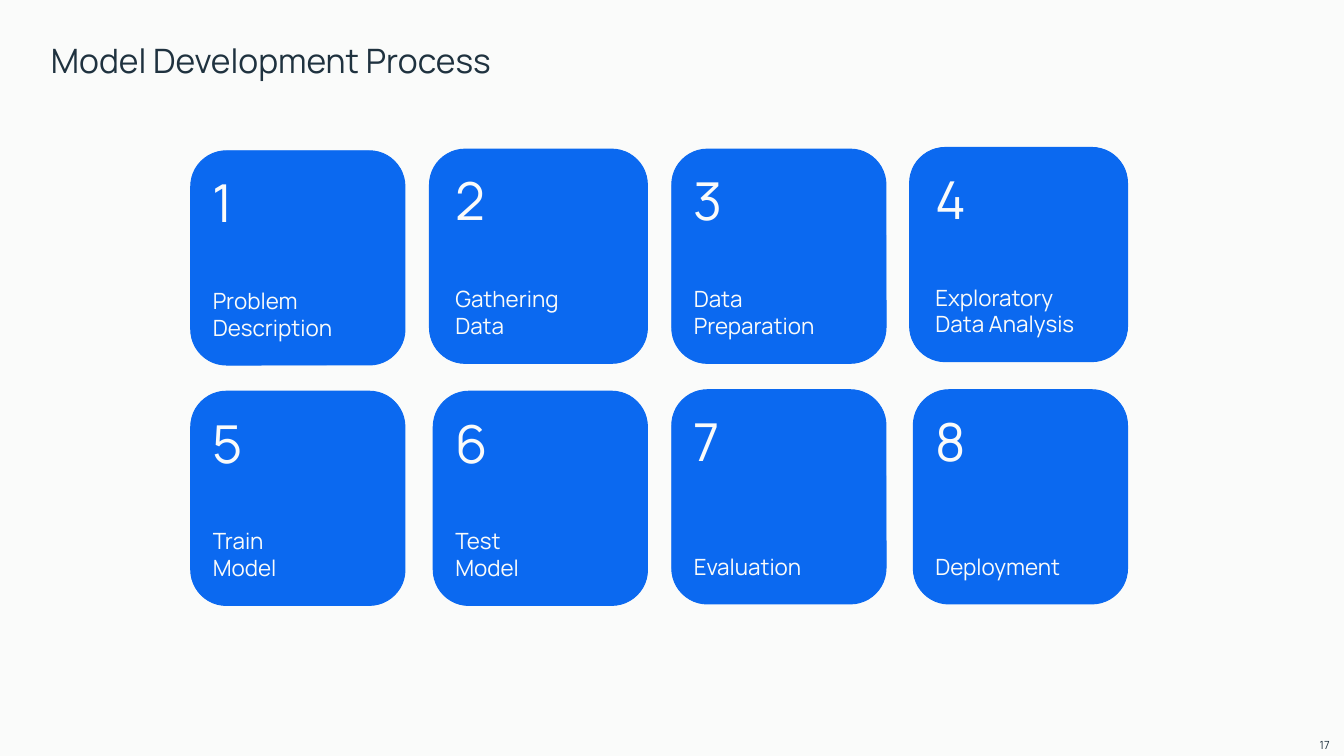
"""Build the Model Development Process slide: eight numbered cards in two rows."""
from pptx import Presentation
from pptx import util as u
from pptx.dml.color import RGBColor
from pptx.enum import shapes, text

COLORS = {"paper": "FAFBFA", "card": "0B69F0", "ink": "1F323F"}
FONT = "Manrope"
TITLE = "Model Development Process"
PAGE = "17"
STEPS = [
    [["Problem Description"], ["Gathering", "Data"],
     ["Data", "Preparation"], ["Exploratory", "Data Analysis"]],
    [["Train", "Model"], ["Test", "Model"], ["Evaluation"], ["Deployment"]],
]
CARD_RIGHTS = [217, 346.9, 474.7, 604.1]
CARD_TOPS = [[80.8, 79.9, 79.9, 79], [209.6, 209.6, 208.8, 208.8]]
CARD_WIDTHS = [[114.8, 116.8, 114.8, 116.8], [114.8] * 4]
TEXT_WIDTHS = [88.5, 98, 88.5, 98]
CARD_HEIGHT, TEXT_HEIGHT = 114.8, 93.6
TEXT_FROM_RIGHT, TEXT_FROM_TOP = 103, 10.5
LABEL_LINE = 14.45
ONE_LINE_LABELS = {"Evaluation", "Deployment"}


def rgb(name):
    return RGBColor.from_string(COLORS[name])


def add_text(s, box, lines, color, wrap=True, **frame):
    sp = s.shapes.add_textbox(*map(u.Pt, box))
    tf = sp.text_frame
    margins = {f"margin_{side}": 0 for side in ("left", "top", "right", "bottom")}
    for name, value in {**margins, "word_wrap": wrap, **frame}.items():
        setattr(tf, name, value)
    for i, (words, size, before) in enumerate(lines):
        p = tf.add_paragraph() if i else tf.paragraphs[0]
        if before:
            p.space_before = u.Pt(before)
        r = p.add_run()
        r.text = words
        for name, value in {"name": FONT, "size": u.Pt(size)}.items():
            setattr(r.font, name, value)
        r.font.color.rgb = rgb(color)


def add_card(s, row, col, number, label):
    right, top = CARD_RIGHTS[col], CARD_TOPS[row][col]
    width = CARD_WIDTHS[row][col]
    sp = s.shapes.add_shape(shapes.MSO_SHAPE.ROUNDED_RECTANGLE,
                            *map(u.Pt, (right - width, top, width, CARD_HEIGHT)))
    sp.shadow.inherit = False
    sp.fill.solid()
    sp.fill.fore_color.rgb = sp.line.color.rgb = rgb("card")
    sp.line.width = u.Pt(0.5)
    gap = LABEL_LINE * (3 if label[0] in ONE_LINE_LABELS else 2)
    lines = [(str(number), 28, 0)]
    lines += [(words, 12, 0 if i else gap) for i, words in enumerate(label)]
    box = (right - TEXT_FROM_RIGHT, top + TEXT_FROM_TOP, TEXT_WIDTHS[col], TEXT_HEIGHT)
    add_text(s, box, lines, "paper")


def main():
    prs = Presentation()
    prs.slide_width, prs.slide_height = u.Pt(720), u.Pt(405)
    s = prs.slides.add_slide(prs.slide_layouts[6])
    s.background.fill.solid()
    s.background.fill.fore_color.rgb = rgb("paper")
    add_text(s, (27.3, 21.6, 666, 24.5), [(TITLE, 18, 0)], "ink")
    for row, labels in enumerate(STEPS):
        for col, label in enumerate(labels):
            add_card(s, row, col, row * len(labels) + col + 1, label)
    add_text(s, (707, 393.1, 7.2, 11.5), [(PAGE, 6, 0)], "ink", wrap=False,
             margin_top=u.Pt(2), margin_bottom=u.Pt(2),
             vertical_anchor=text.MSO_ANCHOR.BOTTOM)
    prs.save("out.pptx")


if __name__ == "__main__":
    main()
